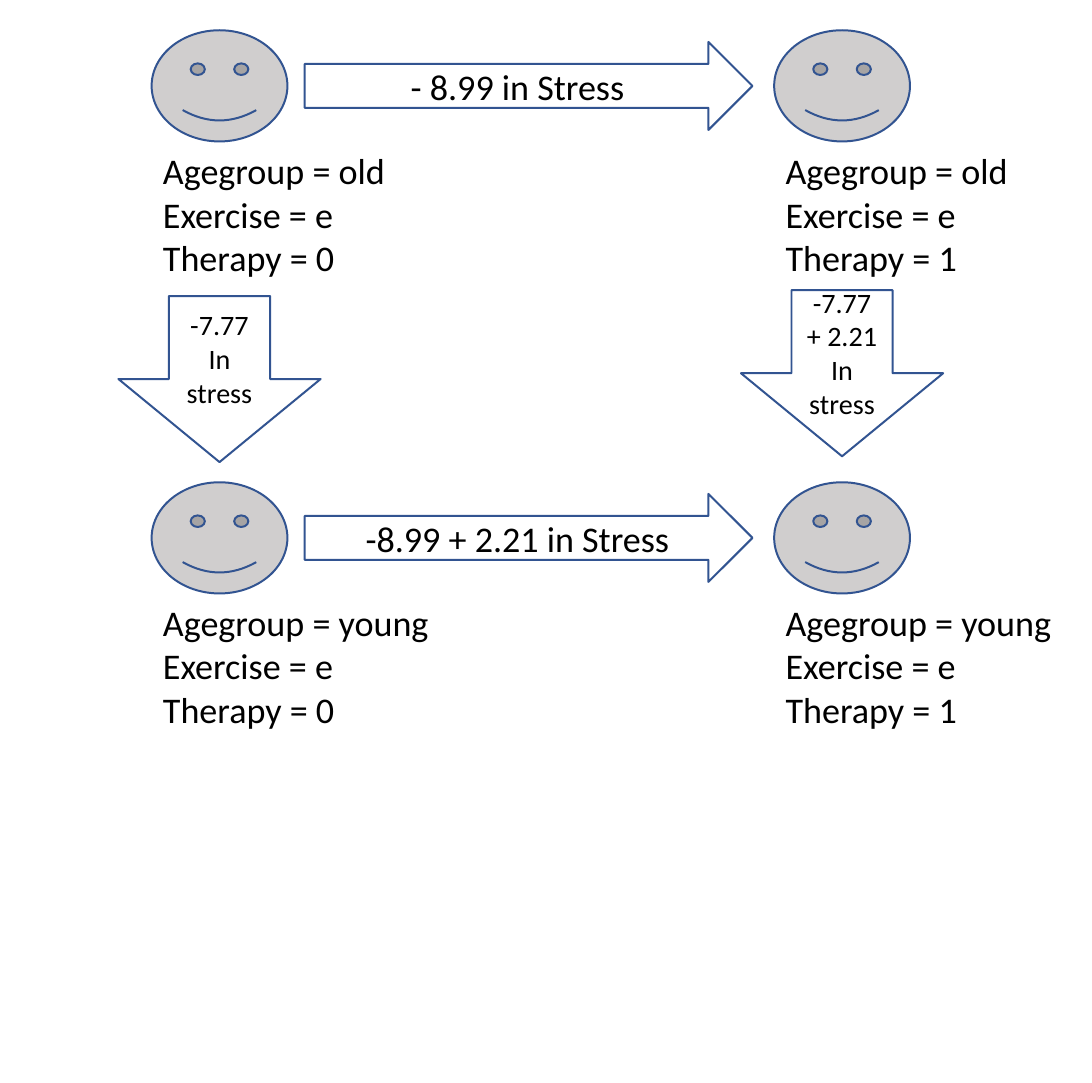
from pptx import Presentation, util as u
from pptx.dml.color import RGBColor
from pptx.enum import shapes, text

PX = u.Inches(1) // 100
OUTLINE, FACE, INK = "325491", "D0CECE", "000000"
COLUMN_STEP, ROW_STEP = 431, 313


def px(*lengths):
    """Turn px lengths into EMU."""
    return [length * PX for length in lengths]


def colour(hex_code):
    """Turn a hex string into a colour."""
    return RGBColor.from_string(hex_code)


def write(frame, lines, size=18, align=text.PP_ALIGN.LEFT, anchor=text.MSO_ANCHOR.TOP, wrap=True):
    """Fill a text frame with one paragraph per line."""
    frame.word_wrap = wrap
    frame.vertical_anchor = anchor
    for number, line in enumerate(lines):
        paragraph = frame.add_paragraph() if number else frame.paragraphs[0]
        paragraph.text = line
        paragraph.alignment = align
        paragraph.font.name = "Calibri"
        paragraph.font.size = u.Pt(size)
        paragraph.font.color.rgb = colour(INK)


def outlined(slide, kind, box, fill=None):
    """Add a preset shape with a thin blue outline."""
    outline = slide.shapes.add_shape(kind, *px(*box))
    outline.shadow.inherit = False
    if fill:
        outline.fill.solid()
        outline.fill.fore_color.rgb = colour(fill)
    else:
        outline.fill.background()
    outline.line.color.rgb = colour(OUTLINE)
    outline.line.width = u.Pt(1)
    return outline


def person(slide, left, top, age, therapy, label_width):
    """Place a face with its group, exercise and therapy below."""
    outlined(slide, shapes.MSO_SHAPE.SMILEY_FACE, (left, top, 94, 77), FACE)
    label = slide.shapes.add_textbox(*px(left - 2, top + 77, label_width, 101))
    facts = [f"Agegroup = {age}", "Exercise = e", f"Therapy = {therapy}"]
    write(label.text_frame, facts, wrap=False)
    label.text_frame.auto_size = text.MSO_AUTO_SIZE.SHAPE_TO_FIT_TEXT


def effect(slide, kind, box, lines, size):
    """Place a block arrow with the change in stress inside."""
    arrow = outlined(slide, kind, box)
    write(arrow.text_frame, lines, size, text.PP_ALIGN.CENTER, text.MSO_ANCHOR.MIDDLE)


def age_row(slide, left, top, age, label_width, therapy_effect):
    """Place both therapy conditions of an age group and the arrow between."""
    for therapy in range(2):
        person(slide, left + therapy * COLUMN_STEP, top, age, therapy, label_width)
    effect(slide, shapes.MSO_SHAPE.RIGHT_ARROW, (left + 106, top + 8, 310, 61), [therapy_effect], 18)


def main():
    """Build the stress effects slide."""
    deck = Presentation()
    deck.slide_width, deck.slide_height = px(756, 750)
    slide = deck.slides.add_slide(deck.slide_layouts[6])

    age_rows = [("old", 176, "- 8.99 in Stress"), ("young", 207, "-8.99 + 2.21 in Stress")]
    for row, age_group in enumerate(age_rows):
        age_row(slide, 105, 21 + row * ROW_STEP, *age_group)

    age_effects = [(205, "-7.77"), (201, "-7.77 + 2.21")]
    for column, (top, change) in enumerate(age_effects):
        box = (82 + column * COLUMN_STEP, top, 140, 115)
        effect(slide, shapes.MSO_SHAPE.DOWN_ARROW, box, [change, "In stress"], 14)

    deck.save("out.pptx")


if __name__ == "__main__":
    main()
